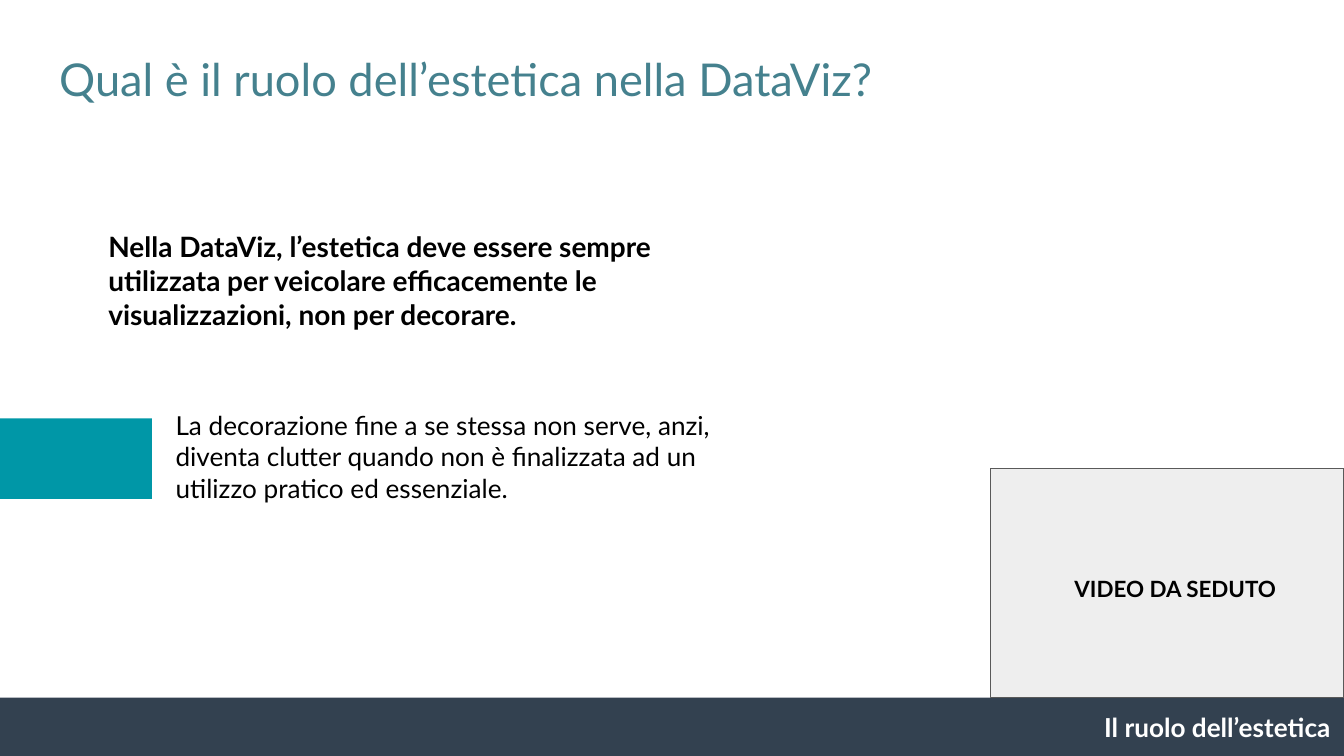
from pptx import Presentation
from pptx import util as u
from pptx.dml.color import RGBColor
from pptx.enum import shapes, text

TITLE = RGBColor(0x45, 0x81, 0x8E)
BLACK = RGBColor(0, 0, 0)
WHITE = RGBColor(255, 255, 255)
NAVY = RGBColor(0x33, 0x41, 0x50)
TEAL = RGBColor(0, 0x97, 0xA7)
GREY = RGBColor(0xEE, 0xEE, 0xEE)
DARK_GREY = RGBColor(0x59, 0x59, 0x59)
LEFT, CENTER, RIGHT = text.PP_ALIGN.LEFT, text.PP_ALIGN.CENTER, text.PP_ALIGN.RIGHT


class Deck:
    font = "Lato"
    inset = u.Pt(7.2)

    def __init__(self, width, height):
        self.prs = Presentation()
        self.prs.slide_width, self.prs.slide_height = u.Pt(width), u.Pt(height)
        self.s = self.prs.slides.add_slide(self.prs.slide_layouts[5])

    def frame(self, sp):
        tf = sp.text_frame
        tf.word_wrap = True
        tf.auto_size = text.MSO_AUTO_SIZE.NONE
        tf.vertical_anchor = text.MSO_ANCHOR.TOP
        tf.margin_left = tf.margin_top = tf.margin_right = tf.margin_bottom = self.inset
        return tf

    def add_text(self, p, words, size, color, bold=False, align=LEFT, before=0):
        p.alignment = align
        p.space_before = u.Pt(before)
        r = p.add_run()
        r.text = words
        r.font.name, r.font.size, r.font.bold = self.font, u.Pt(size), bold
        r.font.color.rgb = color

    def title(self, x, y, w, h, words, size, color):
        sp = self.s.shapes.title
        sp.left, sp.top, sp.width, sp.height = map(u.Pt, (x, y, w, h))
        self.add_text(self.frame(sp).paragraphs[0], words, size, color)

    def textbox(self, x, y, w, h, words, size, color, bold=False, align=LEFT):
        sp = self.s.shapes.add_textbox(*map(u.Pt, (x, y, w, h)))
        tf = self.frame(sp)
        self.add_text(tf.paragraphs[0], words, size, color, bold, align)
        return tf

    def indented(self, tf, words, size, color, indent, before):
        p = tf.add_paragraph()
        p._p.get_or_add_pPr().set("marL", str(u.Pt(indent)))
        self.add_text(p, words, size, color, before=before)

    def rect(self, x, y, w, h, fill, line=None):
        sp = self.s.shapes.add_shape(shapes.MSO_SHAPE.RECTANGLE, *map(u.Pt, (x, y, w, h)))
        sp.shadow.inherit = False
        sp.fill.solid()
        sp.fill.fore_color.rgb = fill
        if line is None:
            sp.line.fill.background()
        else:
            sp.line.color.rgb = line
            sp.line.width = u.Pt(0.75)


def main():
    width, height, footer_top = 720, 405, 373.8
    deck = Deck(width, height)
    deck.title(24.5, 20.2, 671, 45.4, "Qual è il ruolo dell’estetica nella DataViz?", 24.2, TITLE)

    tf = deck.textbox(
        51, 116, 367.2, 162.7,
        "Nella DataViz, l’estetica deve essere sempre utilizzata per veicolare "
        "efficacemente le visualizzazioni, non per decorare.",
        15, BLACK, bold=True)
    deck.indented(
        tf,
        "La decorazione fine a se stessa non serve, anzi, diventa clutter quando "
        "non è finalizzata ad un utilizzo pratico ed essenziale.",
        14, BLACK, indent=36, before=42)

    deck.rect(-1.4, footer_top, width + 1.4, height - footer_top, NAVY)
    deck.textbox(328.3, footer_top, width - 328.3, 31.7, "Il ruolo dell’estetica",
                 14, WHITE, bold=True, align=RIGHT)

    deck.rect(530.6, 251.1, width - 530.6, footer_top - 251.1, GREY, DARK_GREY)
    deck.textbox(550.8, 301, 157.7, 45.4, "VIDEO DA SEDUTO", 12, BLACK, bold=True, align=CENTER)

    deck.rect(0, 224.1, 81.4, 43.2, TEAL)
    deck.prs.save("out.pptx")


if __name__ == "__main__":
    main()
